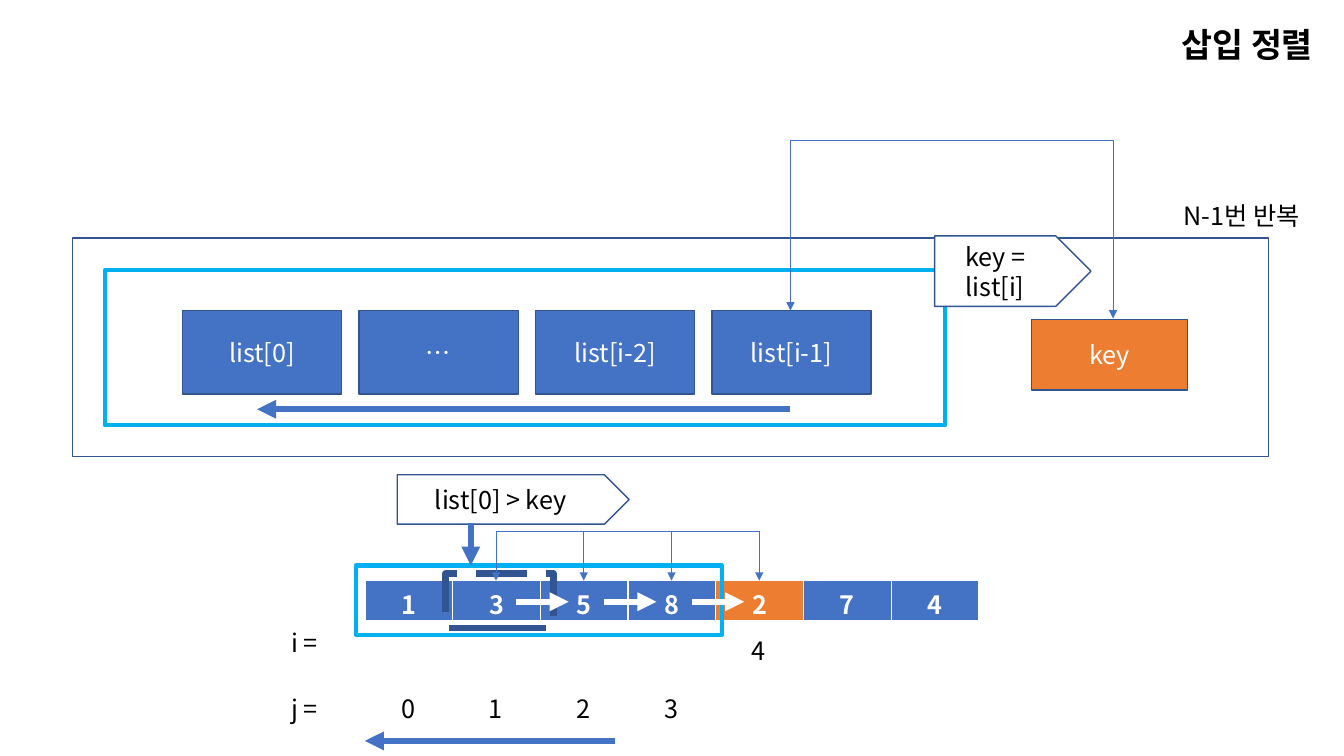
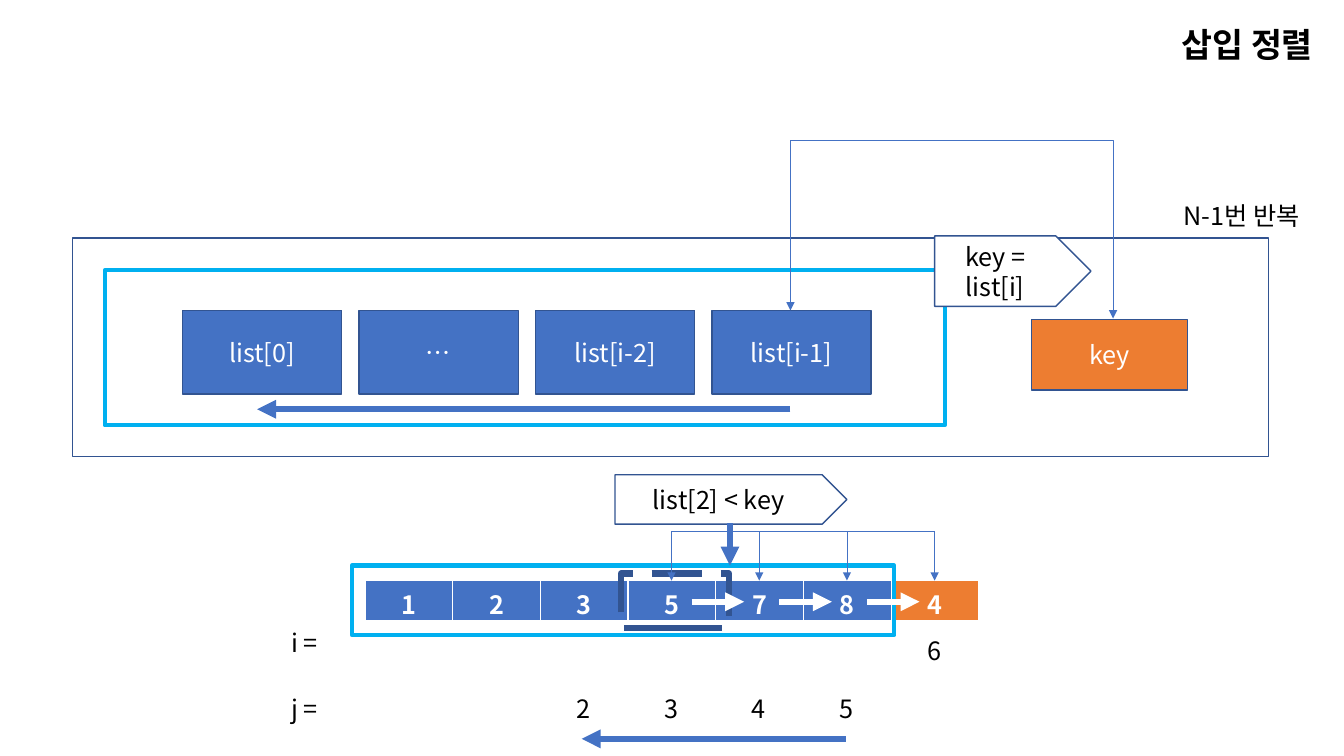
from lxml import etree
from pptx import Presentation, util as u
from pptx.dml.color import RGBColor
from pptx.enum import dml, shapes, text
from pptx.oxml.ns import qn

HUE = {
    "ink": "000000",
    "white": "FFFFFF",
    "blue": "4472C4",
    "navy": "325491",
    "sky": "00B0F0",
    "key": "ED7D31",
}
FONT = "Noto Sans CJK KR"
KIND = shapes.MSO_SHAPE
SIDE = text.PP_ALIGN
LEFT, STEP, HALF = 362, 87, 43


def px(n):
    return u.Emu(n * 9144)


def hue(name):
    return RGBColor.from_string(HUE[name])


def mid(col):
    return LEFT + STEP * col + HALF


class Deck:
    """Hold the style and the current slide, and draw each kind of element."""

    def __init__(self):
        self.file = Presentation()
        self.file.slide_width, self.file.slide_height = px(1333), px(750)
        self.art = None

    def page(self):
        self.art = self.file.slides.add_slide(self.file.slide_layouts[6]).shapes

    def say(self, frame, words, tint, side, size=18, bold=False):
        para = frame.paragraphs[0]
        para.alignment = side
        run = para.add_run()
        run.text = words
        font = run.font
        font.name, font.size, font.bold = FONT, u.Pt(size), bold
        font.color.rgb = hue(tint)
        etree.SubElement(run._r.get_or_add_rPr(), qn("a:ea"), typeface=FONT)

    def label(self, x, y, w, h, words, side=SIDE.LEFT, wrap=False, **style):
        frame = self.art.add_textbox(px(x), px(y), px(w), px(h)).text_frame
        frame.word_wrap = wrap
        frame.auto_size = text.MSO_AUTO_SIZE.SHAPE_TO_FIT_TEXT
        self.say(frame, words, "ink", side, **style)

    def box(self, x, y, w, h, words="", fill=None, edge="navy", wide=1,
            tint="white", kind=KIND.FLOWCHART_PROCESS):
        item = self.art.add_shape(kind, px(x), px(y), px(w), px(h))
        item.shadow.inherit = False
        if fill:
            item.fill.solid()
            item.fill.fore_color.rgb = hue(fill)
        else:
            item.fill.background()
        item.line.color.rgb = hue(edge)
        item.line.width = u.Pt(wide)
        if words:
            item.text_frame.vertical_anchor = text.MSO_ANCHOR.MIDDLE
            self.say(item.text_frame, words, tint, SIDE.CENTER)
        return item

    def callout(self, x, y, w, h, words):
        item = self.box(x, y, w, h, words, "white", tint="ink",
                        kind=KIND.RIGHT_ARROW)
        item.adjustments[0], item.adjustments[1] = 1, 0.5

    def line(self, x, y, to_x, to_y, wide=4.5, tint="blue", tips=("tailEnd",),
             kind=shapes.MSO_CONNECTOR.STRAIGHT):
        item = self.art.add_connector(kind, px(x), px(y), px(to_x), px(to_y))
        item.line.color.rgb = hue(tint)
        item.line.width = u.Pt(wide)
        for tip in tips:
            etree.SubElement(item.line._get_or_add_ln(), qn("a:" + tip), type="triangle")
        etree.SubElement(item._element.spPr, qn("a:effectLst"))
        return item

    def bend(self, x, y, to_x, to_y, top):
        item = self.line(x, y, to_x, to_y, 0.5, tips=("headEnd", "tailEnd"),
                         kind=shapes.MSO_CONNECTOR.ELBOW)
        w, h = to_y - y, to_x - x
        item.left, item.top = px((x + to_x - w) // 2), px((y + to_y - h) // 2)
        item.width, item.height = px(w), px(h)
        form = item._element.spPr
        frame = form.find(qn("a:xfrm"))
        frame.set("rot", "16200000")
        frame.set("flipH", "1")
        shape = form.find(qn("a:prstGeom"))
        shape.set("prst", "bentConnector4")
        guides = shape.find(qn("a:avLst"))
        if guides is None:
            guides = etree.SubElement(shape, qn("a:avLst"))
        for name, part in (("adj1", (top - y) / w), ("adj2", 1)):
            etree.SubElement(guides, qn("a:gd"), name=name, fmla=f"val {round(part * 100000)}")

    def grid(self, x, y, h, vals, key):
        table = self.art.add_table(1, len(vals), px(x), px(y),
                                   px(STEP * len(vals)), px(h)).table
        for col, val in enumerate(vals):
            table.columns[col].width = px(STEP)
            cell = table.cell(0, col)
            cell.fill.solid()
            cell.fill.fore_color.rgb = hue("key" if col == key else "blue")
            self.say(cell.text_frame, val, "white", SIDE.CENTER, bold=True)
            for spot, (edge, wide) in enumerate(zip("LRTB", (1, 1, 1, 3))):
                rule = etree.Element(qn("a:ln" + edge), w=str(u.Pt(wide)))
                paint = etree.SubElement(rule, qn("a:solidFill"))
                etree.SubElement(paint, qn("a:srgbClr"), val=HUE["white"])
                cell._tc.get_or_add_tcPr().insert(spot, rule)


def loop(deck):
    deck.label(998, 19, 314, 50, "삽입 정렬", SIDE.RIGHT, True, size=24, bold=True)
    deck.box(104, 268, 833, 154, edge="sky", wide=3)
    deck.box(1023, 317, 155, 70, "key", "key")
    deck.box(72, 236, 1186, 217)
    deck.label(1164, 194, 148, 40, "N-1번 반복")
    for spot, words in enumerate(("list[0]", "…", "list[i-2]", "list[i-1]")):
        deck.box(181 + 175 * spot, 308, 158, 83, words, "blue")
    deck.callout(927, 234, 155, 70, "key = list[i]")
    deck.line(784, 406, 255, 406)
    deck.bend(784, 308, 1104, 316, 139)


def step(deck, vals, key, low, first, test, flag, point, span, sweep):
    deck.label(279, 617, 53, 40, "i =")
    deck.label(279, 683, 53, 40, "j =")
    deck.label(mid(key) - 17, 625, 34, 40, str(key))
    for col in range(first, key):
        deck.label(mid(col) - 17, 683, 34, 40, str(col))
    deck.grid(LEFT, 576, 41, vals, key)
    deck.line(mid(low), 527, mid(key), 527, 0.5, tips=())
    deck.callout(flag, 471, 230, 49, test)
    left, wide = span
    deck.box(left, 561, wide, 69, edge="sky", wide=3, kind=KIND.RECTANGLE)
    deck.line(point, 519, point, 561)
    dash = deck.box(mid(low) - 50, 569, 107, 54, wide=4.5, kind=KIND.RECTANGLE)
    dash.line.dash_style = dml.MSO_LINE.LONG_DASH
    for col in range(low, key + 1):
        deck.line(mid(col), 527, mid(col), 576, 0.5)
    for col in range(low, key):
        deck.line(mid(col) + 20, 597, mid(col) + 72, 597, tint="white")
    start, end, y = sweep
    deck.line(start, y, end, y)


def main():
    deck = Deck()
    steps = (
        dict(vals="1358274", key=4, low=1, first=0, test="list[0] > key", flag=394,
             point=467, span=(353, 363), sweep=(610, 362, 735)),
        dict(vals="1235784", key=6, low=3, first=2, test="list[2] < key", flag=610,
             point=724, span=(349, 538), sweep=(839, 577, 733)),
    )
    for state in steps:
        deck.page()
        loop(deck)
        step(deck, **state)
    deck.file.save("out.pptx")


if __name__ == "__main__":
    main()
